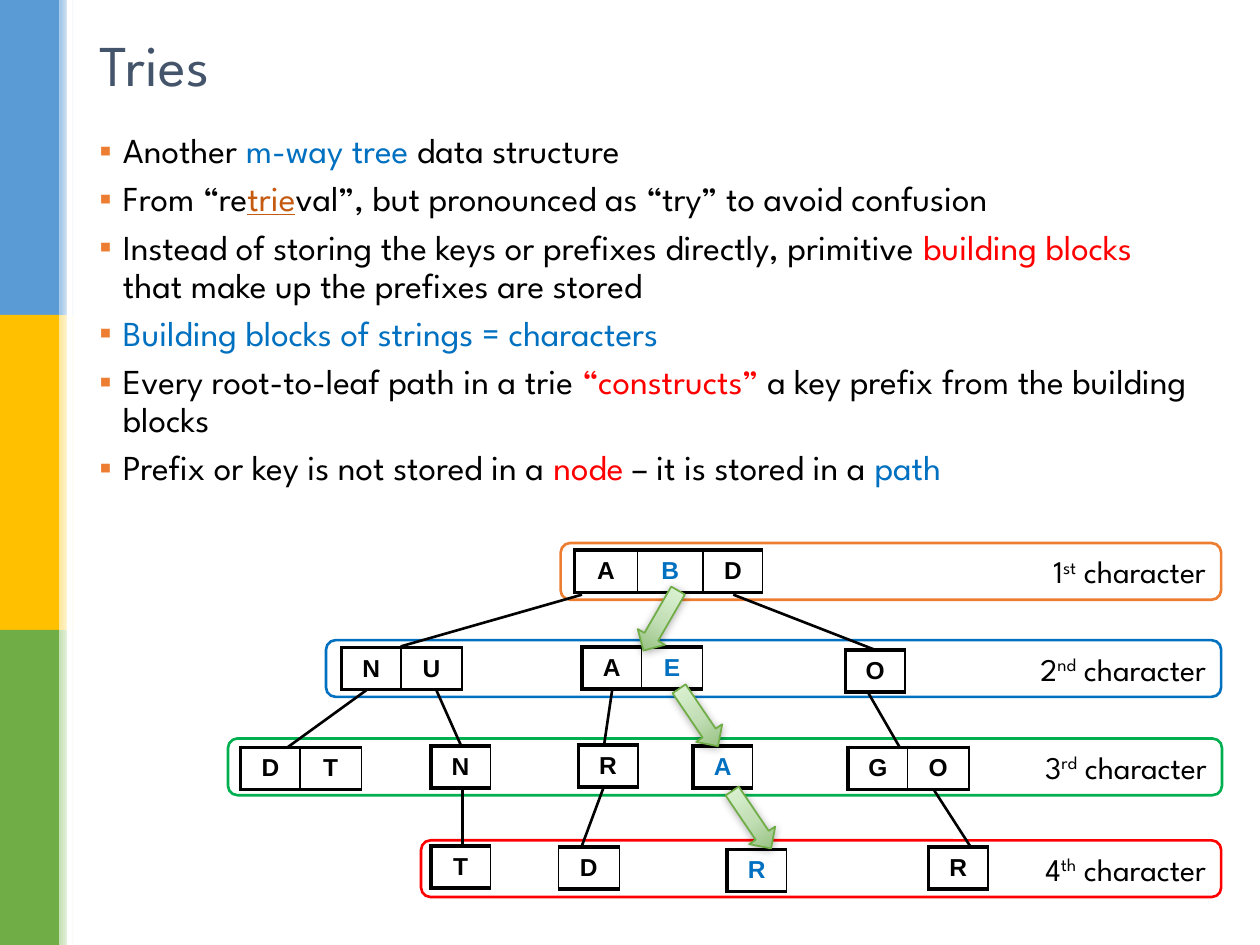
"""Build the slide about tries, with its level bands and search path."""
from lxml.etree import SubElement
from pptx import Presentation
from pptx.dml.color import RGBColor
from pptx.enum.shapes import MSO_CONNECTOR, MSO_SHAPE
from pptx.enum.text import MSO_ANCHOR, PP_ALIGN
from pptx.oxml import parse_xml
from pptx.oxml.ns import nsdecls, qn
from pptx.util import Pt

BLACK = RGBColor(0, 0, 0)
WHITE = RGBColor(255, 255, 255)
BLUE = RGBColor(0, 0x70, 0xC0)
RED = RGBColor(255, 0, 0)
ORANGE = RGBColor(0xED, 0x7D, 0x31)
RUST = RGBColor(0xC5, 0x5A, 0x11)
EMERALD = RGBColor(0, 0xB0, 0x50)
SLATE = RGBColor(0x44, 0x54, 0x6A)
SKY = RGBColor(0x5B, 0x9B, 0xD5)
GOLD = RGBColor(255, 0xC0, 0)
GREEN = RGBColor(0x70, 0xAD, 0x47)
PALE_SKY = RGBColor(0x9D, 0xC3, 0xE6)
PALE_GOLD = RGBColor(255, 0xE6, 0x99)
PALE_GREEN = RGBColor(0xC5, 0xE0, 0xB4)
LEAF = RGBColor(0x88, 0xB7, 0x6F)
MINT = RGBColor(0xC1, 0xDE, 0xB5)
FOAM = RGBColor(0xE3, 0xF7, 0xDB)


class Deck:
    font = "League Spartan"
    thin, thick = 1, 2.25

    def __init__(self):
        self.file = Presentation()
        self.file.slide_width, self.file.slide_height = Pt(720), Pt(540)
        self.slide = self.file.slides.add_slide(self.file.slide_layouts[6])
        self.shapes = self.slide.shapes

    def run(self, par, text, color=BLACK, size=20, font=None, bold=False):
        run = par.add_run()
        run.text = text
        face = run.font
        face.name, face.size, face.bold = font or self.font, Pt(size), bold
        face.color.rgb = color
        return run

    def shape(self, kind, box, fill=None, line=None, width=1.5):
        item = self.shapes.add_shape(kind, *map(Pt, box))
        item.shadow.inherit = False
        if fill is None:
            item.fill.background()
        else:
            item.fill.solid()
            item.fill.fore_color.rgb = fill
        if line is None:
            item.line.fill.background()
        else:
            item.line.color.rgb = line
            item.line.width = Pt(width)
        return item

    def blend(self, item, stops, angle):
        marks = "".join(
            f'<a:gs pos="{pos * 1000}"><a:srgbClr val="{color}"/></a:gs>'
            for pos, color in stops)
        grad = parse_xml(
            f'<a:gradFill {nsdecls("a")} rotWithShape="1"><a:gsLst>{marks}</a:gsLst>'
            f'<a:lin ang="{angle * 60000}" scaled="0"/></a:gradFill>')
        props = item._element.spPr
        props.replace(props.find(qn("a:solidFill")), grad)

    def band(self, left, top, right, color, rank, end):
        box = left, top, right - left, 32.4
        item = self.shape(MSO_SHAPE.ROUNDED_RECTANGLE, box, line=color)
        item.text_frame.vertical_anchor = MSO_ANCHOR.MIDDLE
        par = item.text_frame.paragraphs[0]
        par.alignment = PP_ALIGN.RIGHT
        self.run(par, rank, size=18)
        mark = self.run(par, end, size=18)
        mark._r.get_or_add_rPr().set("baseline", "30000")
        self.run(par, " character", size=18)

    def frame(self, box):
        frame = self.shapes.add_textbox(*map(Pt, box)).text_frame
        frame.word_wrap = True
        return frame

    def title(self, box, text):
        frame = self.frame(box)
        frame.vertical_anchor = MSO_ANCHOR.MIDDLE
        self.run(frame.paragraphs[0], text, SLATE, 33)

    def bullets(self, box, items):
        frame = self.frame(box)
        for num, parts in enumerate(items):
            par = frame.add_paragraph() if num else frame.paragraphs[0]
            par.line_spacing, par.space_before = 0.9, Pt(6)
            props = par._p.get_or_add_pPr()
            props.set("marL", str(Pt(13.5)))
            props.set("indent", str(-Pt(13.5)))
            tint = SubElement(props, qn("a:buClr"))
            SubElement(tint, qn("a:srgbClr")).set("val", str(ORANGE))
            SubElement(props, qn("a:buFont")).set("typeface", "Arial")
            SubElement(props, qn("a:buChar")).set("char", "▪")
            for text, color in parts:
                run = self.run(par, text, color)
                run.font.underline = color == RUST

    def edge(self, *ends):
        line = self.shapes.add_connector(MSO_CONNECTOR.STRAIGHT, *map(Pt, ends))
        line.line.color.rgb, line.line.width = BLACK, Pt(1.5)
        SubElement(line._element.spPr, qn("a:effectLst"))

    def node(self, keys, left, top, hot="", cols=(34, 35), side=thick):
        cols = cols[:len(keys)]
        box = left, top, sum(cols), 23.6
        table = self.shapes.add_table(1, len(keys), *map(Pt, box)).table
        table.first_row = table.horz_banding = False
        for num, (key, wide) in enumerate(zip(keys, cols)):
            table.columns[num].width = Pt(wide)
            cell = table.cell(0, num)
            cell.margin_left = cell.margin_right = Pt(3.6)
            cell.margin_top = cell.margin_bottom = Pt(3.6)
            cell.vertical_anchor = MSO_ANCHOR.MIDDLE
            cell.fill.solid()
            cell.fill.fore_color.rgb = WHITE
            par = cell.text_frame.paragraphs[0]
            par.alignment = PP_ALIGN.CENTER
            self.run(par, key, BLUE if key == hot else BLACK, 14, "Arial", True)
            first = self.thin if num else side
            rims = zip("LRTB", (first, self.thin, self.thick, self.thick))
            for spot, (rim, width) in enumerate(rims):
                cell._tc.get_or_add_tcPr().insert(spot, parse_xml(
                    f'<a:ln{rim} {nsdecls("a")} w="{Pt(width)}"><a:solidFill>'
                    f'<a:srgbClr val="{BLACK}"/></a:solidFill></a:ln{rim}>'))

    def arrow(self, left, top, turn):
        item = self.shape(MSO_SHAPE.DOWN_ARROW, (left, top, 18, 39.6), MINT, GREEN, 1)
        item.rotation = turn
        self.blend(item, [(0, LEAF), (48, MINT), (100, FOAM)], 270)
        glow = item._element.spPr.find(qn("a:effectLst"))
        glow.append(parse_xml(
            f'<a:outerShdw {nsdecls("a")} blurRad="{Pt(5)}" dist="{Pt(1)}" '
            f'dir="5400000" rotWithShape="0"><a:srgbClr val="{BLACK}">'
            '<a:alpha val="32000"/></a:srgbClr></a:outerShdw>'))


deck = Deck()
for num, (main, pale) in enumerate(
        [(SKY, PALE_SKY), (GOLD, PALE_GOLD), (GREEN, PALE_GREEN)]):
    deck.shape(MSO_SHAPE.RECTANGLE, (0, 180 * num, 34, 180), main)
    strip = deck.shape(MSO_SHAPE.RECTANGLE, (34, 180 * num, 8.5, 180), pale)
    deck.blend(strip, [(0, pale), (100, WHITE)], 0)
deck.shape(MSO_SHAPE.RECTANGLE, (38.2, 0, 2.9, 540), WHITE)

for band in [(320.4, 310.3, 697.8, ORANGE, "1", "st"),
             (186.3, 365.8, 697.8, BLUE, "2", "nd"),
             (130.3, 422, 698.3, EMERALD, "3", "rd"),
             (240.6, 480.2, 697.8, RED, "4", "th")]:
    deck.band(*band)

deck.bullets((49.7, 72.7, 642.2, 436.3), [
    [("Another ", BLACK), ("m-way tree ", BLUE), ("data structure", BLACK)],
    [("From “re", BLACK), ("trie", RUST),
     ("val”, but pronounced as “try” to avoid confusion", BLACK)],
    [("Instead of storing the keys or prefixes directly, primitive ", BLACK),
     ("building blocks", RED), (" that make up the prefixes are stored", BLACK)],
    [("Building blocks of strings = characters", BLUE)],
    [("Every root-to-leaf path in a trie ", BLACK), ("“constructs” ", RED),
     ("a key prefix from the building blocks", BLACK)],
    [("Prefix or key is not stored in a ", BLACK), ("node", RED),
     (" – it is stored in a ", BLACK), ("path", BLUE)]])
deck.title((49.7, 11.5, 620.6, 49), "Tries")

for ends in [(332.6, 339.8, 229, 369.4), (385.2, 338.4, 367.2, 369.4),
             (419, 339.8, 500.4, 371.5), (210.2, 393.8, 163.4, 427.7),
             (249.1, 393.8, 264.2, 427.7), (349.9, 393.8, 344.9, 427.7),
             (387.4, 393.8, 409, 427.7), (495.4, 394.6, 514.1, 427),
             (264.2, 449.3, 264.2, 482.4), (344.9, 450, 332.6, 483.1),
             (418.3, 451.4, 439.9, 486), (532.8, 450, 555.1, 484.6)]:
    deck.edge(*ends)

deck.node("ABD", 328.3, 314.4, "B", (36, 37.5, 34))
for node in [("NU", 195.1, 370), ("AE", 332.6, 369.7, "E"), ("O", 483.1, 371.5),
             ("DT", 137.5, 427), ("N", 246.2, 426.2), ("R", 330.5, 425.7),
             ("A", 396, 426.2, "A"), ("GO", 484.6, 427),
             ("T", 246.2, 483.4), ("R", 415.4, 485.3, "R"), ("R", 530.6, 484)]:
    deck.node(*node)
deck.node("D", 319, 484, cols=(35,), side=deck.thin)

for arrow in [(368.6, 334.8, 30), (390.2, 390.2, 325.9), (420.5, 448.6, 325.9)]:
    deck.arrow(*arrow)
deck.file.save("out.pptx")
